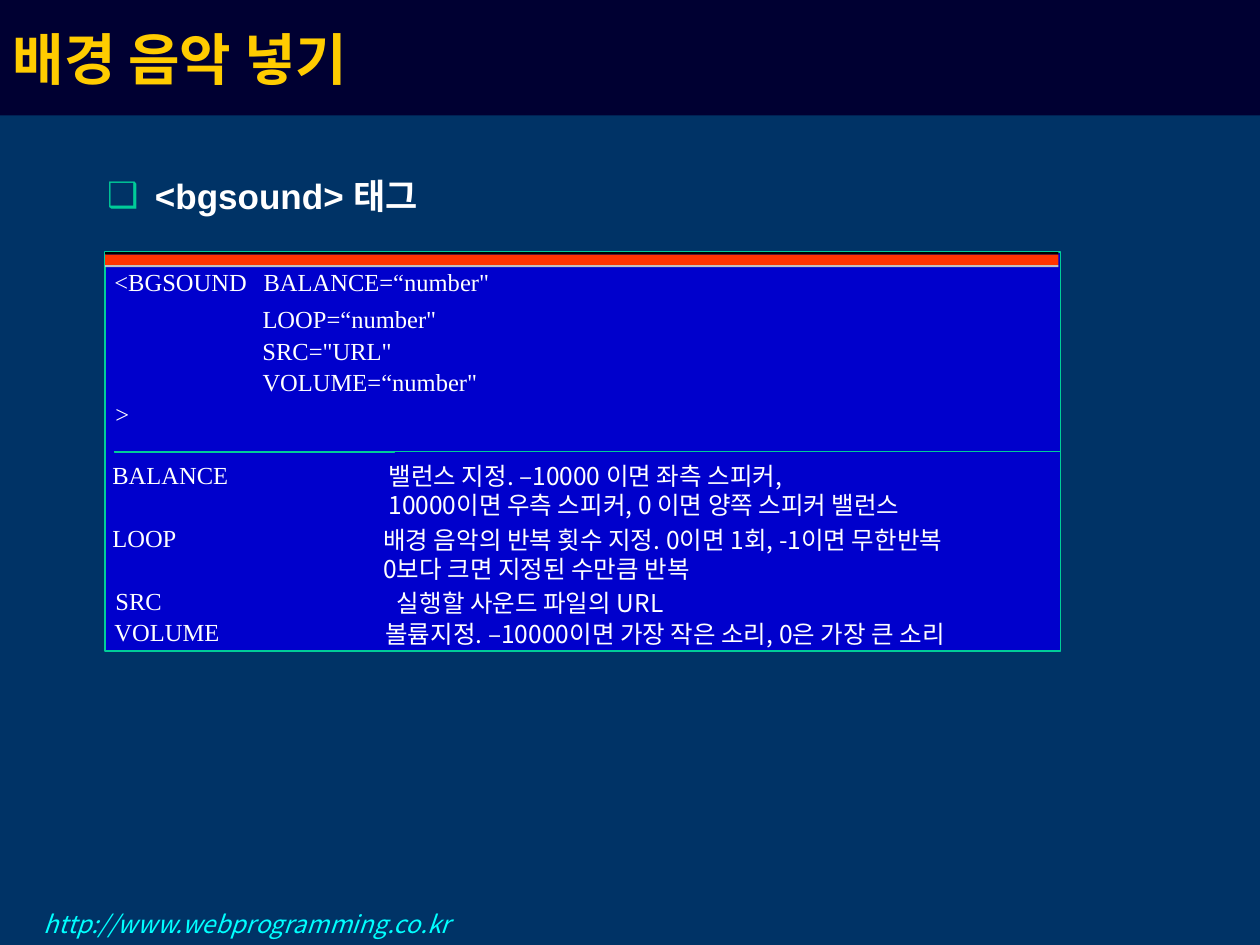
from lxml import etree
from pptx import Presentation, util as u
from pptx.dml.color import RGBColor
from pptx.enum import shapes, text
from pptx.oxml.ns import qn

NAVY = RGBColor(0x00, 0x33, 0x66)
DARK = RGBColor(0x00, 0x00, 0x32)
GOLD = RGBColor(0xFF, 0xCC, 0x00)
BLUE = RGBColor(0x00, 0x00, 0xCC)
GREEN = RGBColor(0x00, 0xCC, 0x99)
RED = RGBColor(0xFF, 0x33, 0x00)
GREY = RGBColor(0xC0, 0xC0, 0xC0)
CYAN = RGBColor(0x00, 0xFF, 0xFF)
WHITE = RGBColor(0xFF, 0xFF, 0xFF)
BLACK = RGBColor(0x00, 0x00, 0x00)

SANS, SERIF, HEAD = "Noto Sans CJK KR", "Times New Roman", "Arial"

# The slide is a grid of 120 columns and 90 rows.
WIDE, HIGH = u.Inches(10), u.Inches(7.5)
COLS, ROWS = 120, 90

# Column, row, width, text
CODE = [
    (10.9, 25.4, 13.2, "<BGSOUND"),
    (25.1, 25.4, 22.2, "BALANCE=“number\""),
    (25, 29, 17.2, "LOOP=“number\""),
    (25, 32, 13, "SRC=\"URL\""),
    (25, 35, 21.2, "VOLUME=“number\""),
    (11, 38, 2, ">"),
]
NAMES = [
    (10.7, 43.8, 11.8, "BALANCE"),
    (10.7, 49.8, 6.8, "LOOP"),
    (11, 55.8, 5.2, "SRC"),
    (10.9, 58.8, 10.8, "VOLUME"),
]
NOTES = [
    (37, 43.9, 56.8, "밸런스 지정. –10000 이면 좌측 스피커,\n"
                     "10000이면 우측 스피커, 0 이면 양쪽 스피커 밸런스"),
    (36.5, 50, 64.7, "배경 음악의 반복 횟수 지정. 0이면 1회, -1이면 무한반복\n"
                     "0보다 크면 지정된 수만큼 반복"),
    (37.8, 56, 27.7, "실행할 사운드 파일의 URL"),
    (36.7, 59, 63.5, "볼륨지정. –10000이면 가장 작은 소리, 0은 가장 큰 소리"),
]


def grid(col, row):
    return int(WIDE * col / COLS), int(HIGH * row / ROWS)


def place(shape, col, row, wide, high):
    shape.left, shape.top = grid(col, row)
    shape.width, shape.height = grid(wide, high)


def write(frame, words, face, size, color, bold=False, italic=False):
    frame.text = words
    for para in frame.paragraphs:
        para.alignment = text.PP_ALIGN.LEFT
        para.space_before = u.Pt(0)
        font = para.font
        font.name, font.size = face, u.Pt(size)
        font.bold, font.italic = bold, italic
        font.color.rgb = color
        props = para._p.pPr.find(qn("a:defRPr"))
        east = etree.SubElement(props, qn("a:ea"))
        east.set("typeface", SANS)


def bullet(para, mark, color):
    props = para._p.get_or_add_pPr()
    props.set("marL", str(u.Inches(0.38)))
    props.set("indent", str(-u.Inches(0.38)))
    tint = etree.Element(qn("a:buClr"))
    etree.SubElement(tint, qn("a:srgbClr")).set("val", str(color))
    sign = etree.Element(qn("a:buChar"))
    sign.set("char", mark)
    spot = list(props).index(props.find(qn("a:defRPr")))
    props[spot:spot] = [tint, sign]


def label(slide, col, row, wide, words, face):
    """Add a text box without margins, one line high per paragraph."""
    high = 2.8 * len(words.split("\n"))
    box = slide.shapes.add_textbox(*grid(col, row), *grid(wide, high))
    frame = box.text_frame
    frame.margin_left = frame.margin_right = 0
    frame.margin_top = frame.margin_bottom = 0
    frame.word_wrap = False
    frame.auto_size = text.MSO_AUTO_SIZE.SHAPE_TO_FIT_TEXT
    write(frame, words, face, 14, WHITE)


def block(slide, col, row, wide, high, fill, edge=None):
    rect = slide.shapes.add_shape(shapes.MSO_SHAPE.RECTANGLE,
                                  *grid(col, row), *grid(wide, high))
    rect.shadow.inherit = False
    rect.fill.solid()
    rect.fill.fore_color.rgb = fill
    if edge is None:
        rect.line.fill.background()
    else:
        rect.line.color.rgb = edge
        rect.line.width = u.Pt(0.75)


def rule(slide, left, right, row, color):
    """Add a level hairline."""
    line = slide.shapes.add_connector(shapes.MSO_CONNECTOR.STRAIGHT,
                                      *grid(left, row), *grid(right, row))
    line.line.color.rgb = color
    line.line.width = u.Pt(0.1)
    etree.SubElement(line._element.spPr, qn("a:effectLst"))


def heads(slide):
    title, body = slide.placeholders
    place(title, 0, 0, COLS, 11)
    title.fill.solid()
    title.fill.fore_color.rgb = DARK
    place(body, 9, 16, 102, 64)
    for shape, anchor in ((title, text.MSO_ANCHOR.MIDDLE),
                          (body, text.MSO_ANCHOR.TOP)):
        shape.text_frame.vertical_anchor = anchor
        shape.text_frame.auto_size = text.MSO_AUTO_SIZE.NONE
    write(title.text_frame, "배경 음악 넣기", SANS, 32, GOLD, bold=True)
    write(body.text_frame, "<bgsound> 태그", HEAD, 20, WHITE, bold=True)
    bullet(body.text_frame.paragraphs[0], "❑", GREEN)


def panel(slide):
    block(slide, 10, 24, 91, 38, BLUE, GREEN)
    for row, high, fill in ((24, 0.25, BLACK), (24.25, 1, RED),
                            (25.25, 0.2, GREY)):
        block(slide, 10, row, 90.8, high, fill)
    rule(slide, 10, 100.8, 24, BLACK)
    rule(slide, 10, 100.8, 25.25, GREY)
    block(slide, 10.9, 43, 26.7, 0.1, BLACK, GREEN)
    rule(slide, 37, 101, 43, GREEN)


def main():
    deck = Presentation()
    deck.slide_width, deck.slide_height = WIDE, HIGH
    slide = deck.slides.add_slide(deck.slide_layouts[1])
    slide.background.fill.solid()
    slide.background.fill.fore_color.rgb = NAVY

    heads(slide)
    panel(slide)
    for item in CODE + NAMES:
        label(slide, *item, SERIF)
    for item in NOTES:
        label(slide, *item, SANS)

    site = slide.shapes.add_textbox(*grid(3, 86), *grid(47, 4))
    site.text_frame.word_wrap = True
    write(site.text_frame, "http://www.webprogramming.co.kr", SANS, 14,
          CYAN, italic=True)
    deck.save("out.pptx")


if __name__ == "__main__":
    main()
